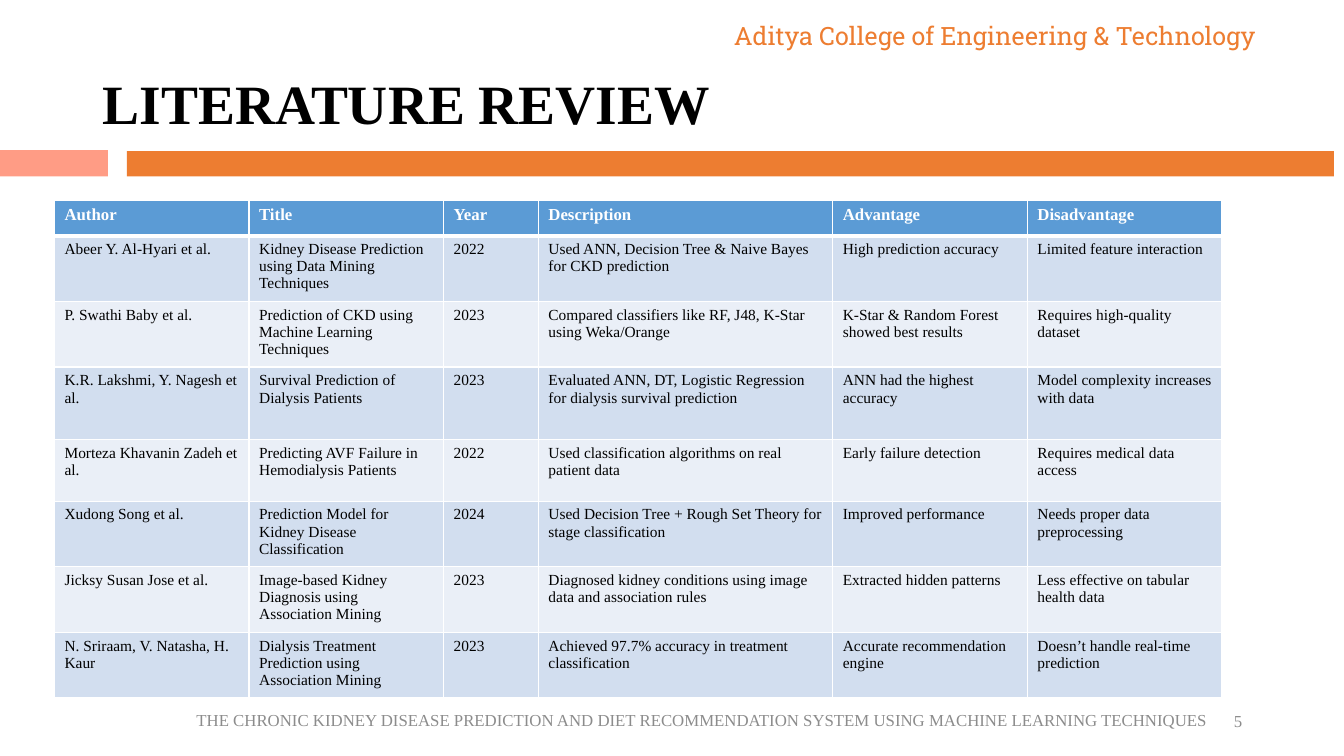
"""Build the literature review slide."""
from dataclasses import dataclass

from lxml.etree import SubElement
from pptx import Presentation
from pptx.dml.color import RGBColor
from pptx.enum.shapes import MSO_SHAPE
from pptx.enum.text import MSO_ANCHOR, PP_ALIGN
from pptx.oxml.ns import qn
from pptx.util import Inches, Pt

COLORS = {
    "orange": "ED7D31", "salmon": "FF9C85", "black": "000000", "gray": "8C8C8C",
    "white": "FFFFFF", "header": "5B9BD5", "band_dark": "D2DEEF", "band_light": "EAEFF7",
}
SERIF = "Times New Roman"


@dataclass
class Box:
    left: float
    top: float
    width: float
    height: float

    def inches(self) -> list:
        return [Inches(v) for v in (self.left, self.top, self.width, self.height)]


@dataclass
class Label:
    text: str
    box: Box
    size: float
    color: str
    font: str = SERIF
    bold: bool = False
    align: PP_ALIGN = PP_ALIGN.LEFT
    anchor: MSO_ANCHOR = MSO_ANCHOR.MIDDLE
    spacing: float = 1.0


@dataclass
class Bar:
    box: Box
    color: str


@dataclass
class Study:
    author: str
    title: str
    year: str
    description: str
    advantage: str
    disadvantage: str

    def values(self) -> list[str]:
        return [self.author, self.title, self.year,
                self.description, self.advantage, self.disadvantage]


LABELS = [
    Label("LITERATURE REVIEW", Box(0.92, 0.8, 11.73, 0.51), 39.6, "black",
          bold=True, spacing=0.9),
    Label("THE CHRONIC KIDNEY DISEASE PREDICTION AND DIET RECOMMENDATION SYSTEM "
          "USING MACHINE LEARNING TECHNIQUES", Box(1.07, 6.95, 11.79, 0.38), 12, "gray",
          align=PP_ALIGN.CENTER),
    Label("5", Box(9.42, 6.95, 3, 0.4), 12, "gray", align=PP_ALIGN.RIGHT),
    Label("Aditya College of Engineering & Technology", Box(7.18, 0.15, 5.83, 0.4), 18,
          "orange", font="Roboto Slab", anchor=MSO_ANCHOR.TOP),
]
BARS = [
    Bar(Box(1.26, 1.5, 11.97, 0.25), "orange"),
    Bar(Box(0, 1.49, 1.07, 0.26), "salmon"),
]
TABLE_BOX = Box(0.54, 1.99, 11.59, 4.93)
COL_WIDTHS = [1.93, 1.93, 0.94, 2.92, 1.93, 1.93]
ROW_HEIGHTS = [0.35, 0.61, 0.61, 0.72, 0.61, 0.61, 0.61, 0.61]
STUDIES = [
    Study("Author", "Title", "Year", "Description", "Advantage", "Disadvantage"),
    Study("Abeer Y. Al-Hyari et al.",
          "Kidney Disease Prediction using Data Mining Techniques", "2022",
          "Used ANN, Decision Tree & Naive Bayes for CKD prediction",
          "High prediction accuracy", "Limited feature interaction"),
    Study("P. Swathi Baby et al.",
          "Prediction of CKD using Machine Learning Techniques", "2023",
          "Compared classifiers like RF, J48, K-Star using Weka/Orange",
          "K-Star & Random Forest showed best results", "Requires high-quality dataset"),
    Study("K.R. Lakshmi, Y. Nagesh et al.",
          "Survival Prediction of Dialysis Patients", "2023",
          "Evaluated ANN, DT, Logistic Regression for dialysis survival prediction",
          "ANN had the highest accuracy", "Model complexity increases with data"),
    Study("Morteza Khavanin Zadeh et al.",
          "Predicting AVF Failure in Hemodialysis Patients", "2022",
          "Used classification algorithms on real patient data",
          "Early failure detection", "Requires medical data access"),
    Study("Xudong Song et al.",
          "Prediction Model for Kidney Disease Classification", "2024",
          "Used Decision Tree + Rough Set Theory for stage classification",
          "Improved performance", "Needs proper data preprocessing"),
    Study("Jicksy Susan Jose et al.",
          "Image-based Kidney Diagnosis using Association Mining", "2023",
          "Diagnosed kidney conditions using image data and association rules",
          "Extracted hidden patterns", "Less effective on tabular health data"),
    Study("N. Sriraam, V. Natasha, H. Kaur",
          "Dialysis Treatment Prediction using Association Mining", "2023",
          "Achieved 97.7% accuracy in treatment classification",
          "Accurate recommendation engine", "Doesn’t handle real-time prediction"),
]


def rgb(name: str) -> RGBColor:
    return RGBColor.from_string(COLORS[name])


def write(tf, text: str, *, size: float, color: str, font: str = SERIF,
          bold: bool = False, align: PP_ALIGN = PP_ALIGN.LEFT, spacing: float = 1.0) -> None:
    p = tf.paragraphs[0]
    p.alignment = align
    p.line_spacing = spacing
    r = p.add_run()
    r.text = text
    r.font.size = Pt(size)
    r.font.name = font
    r.font.bold = bold
    r.font.color.rgb = rgb(color)


def add_label(s, label: Label) -> None:
    tf = s.shapes.add_textbox(*label.box.inches()).text_frame
    tf.word_wrap = True
    tf.vertical_anchor = label.anchor
    write(tf, label.text, size=label.size, color=label.color, font=label.font,
          bold=label.bold, align=label.align, spacing=label.spacing)


def add_bar(s, bar: Bar) -> None:
    sp = s.shapes.add_shape(MSO_SHAPE.RECTANGLE, *bar.box.inches())
    sp.shadow.inherit = False
    sp.fill.solid()
    sp.fill.fore_color.rgb = rgb(bar.color)
    sp.line.fill.background()


def set_borders(cell, top: float, bottom: float) -> None:
    tc_pr = cell._tc.get_or_add_tcPr()
    for side, width in (("L", 1), ("R", 1), ("T", top), ("B", bottom)):
        ln = SubElement(tc_pr, qn(f"a:ln{side}"), w=str(Pt(width)))
        fill = SubElement(ln, qn("a:solidFill"))
        SubElement(fill, qn("a:srgbClr"), val=COLORS["white"])


def add_studies(s) -> None:
    table = s.shapes.add_table(len(STUDIES), len(COL_WIDTHS), *TABLE_BOX.inches()).table
    for col, width in zip(table.columns, COL_WIDTHS):
        col.width = Inches(width)
    for i, (study, height) in enumerate(zip(STUDIES, ROW_HEIGHTS)):
        table.rows[i].height = Inches(height)
        head = i == 0
        band = "header" if head else "band_dark" if i % 2 else "band_light"
        for j, text in enumerate(study.values()):
            cell = table.cell(i, j)
            set_borders(cell, top=3 if i == 1 else 1, bottom=3 if head else 1)
            cell.fill.solid()
            cell.fill.fore_color.rgb = rgb(band)
            write(cell.text_frame, text, size=12 if head else 11,
                  color="white" if head else "black", bold=head)


def main() -> None:
    prs = Presentation()
    prs.slide_width, prs.slide_height = Inches(13.33), Inches(7.5)
    s = prs.slides.add_slide(prs.slide_layouts[6])
    for label in LABELS:
        add_label(s, label)
    for bar in BARS:
        add_bar(s, bar)
    add_studies(s)
    prs.save("out.pptx")


if __name__ == "__main__":
    main()
